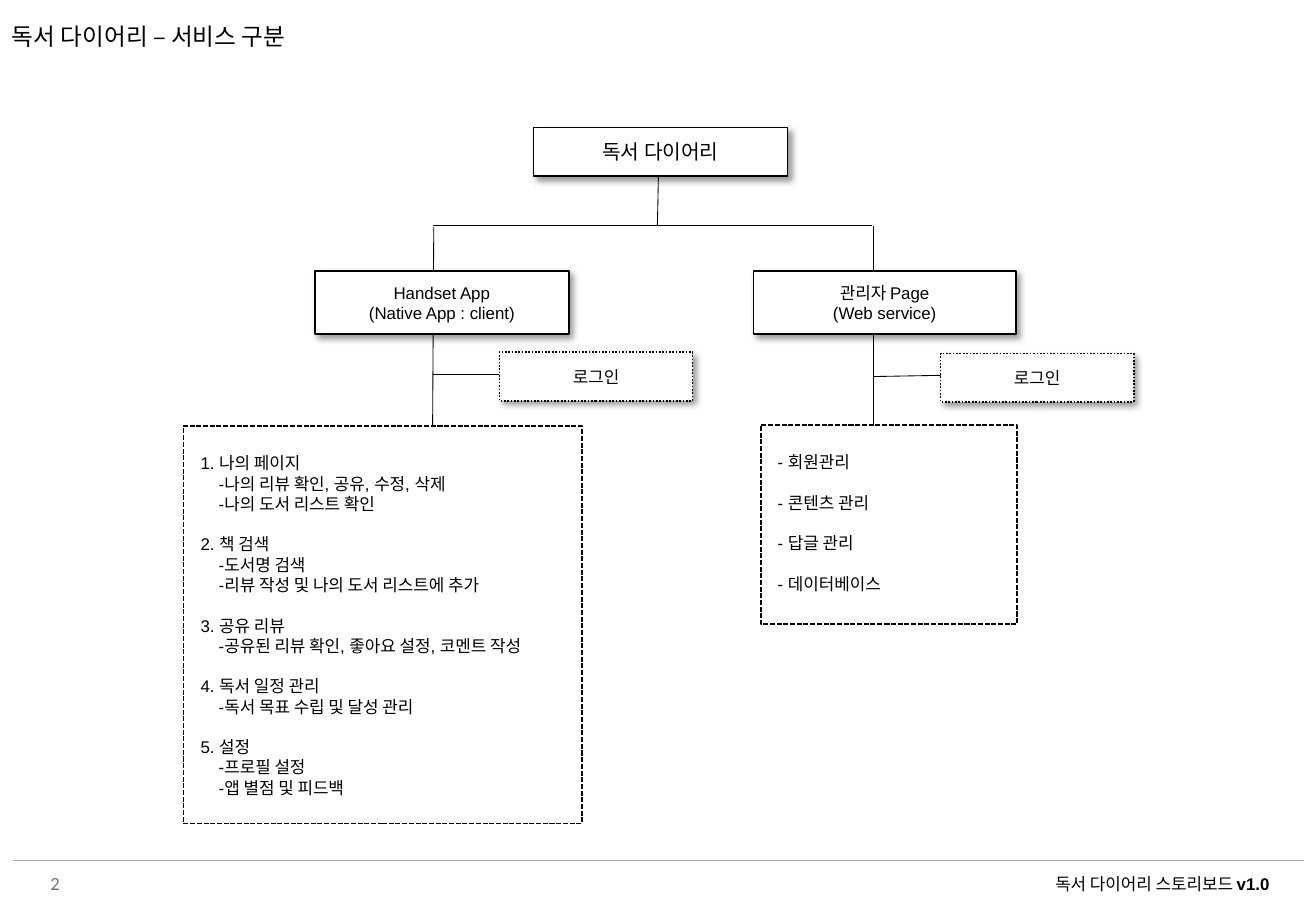
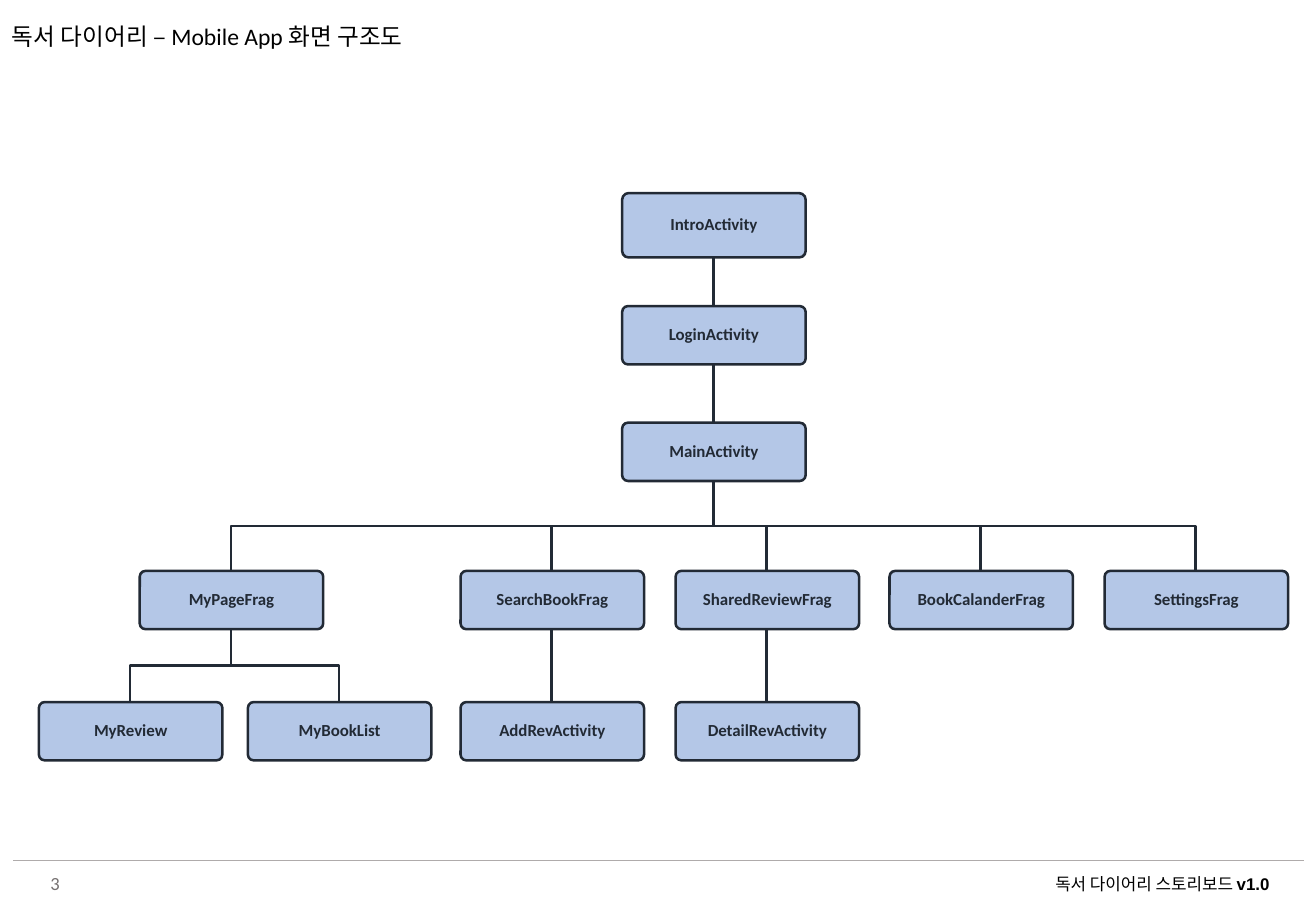
"""Build the service map and the screen tree of a reading diary storyboard."""
from lxml.etree import SubElement
from pptx import Presentation
from pptx.dml.color import RGBColor
from pptx.enum.dml import MSO_LINE
from pptx.enum.shapes import MSO_CONNECTOR, MSO_SHAPE
from pptx.enum.text import MSO_ANCHOR, PP_ALIGN
from pptx.oxml.ns import qn
from pptx.util import Pt

PX = 9144
BLACK, WHITE, GRAY, RULE = "000000", "FFFFFF", "767171", "AFABAB"
NAVY, SKY = "222A35", "B4C7E7"
LEFT, CENTER, RIGHT = PP_ALIGN.LEFT, PP_ALIGN.CENTER, PP_ALIGN.RIGHT
TOP, MIDDLE = MSO_ANCHOR.TOP, MSO_ANCHOR.MIDDLE


def paint(sp, line, width, fill=None, dash=None, shadow=False):
    if fill:
        sp.fill.solid()
        sp.fill.fore_color.rgb = RGBColor.from_string(fill)
    elif hasattr(sp, "fill"):
        sp.fill.background()
    sp.line.color.rgb = RGBColor.from_string(line)
    sp.line.width = Pt(width)
    if dash:
        sp.line.dash_style = dash
    effects = SubElement(sp._element.spPr, qn("a:effectLst"))
    if shadow:
        outer = SubElement(effects, qn("a:outerShdw"), blurRad=str(Pt(4)), dist=str(Pt(3)),
                           dir="2700000", algn="tl", rotWithShape="0")
        clr = SubElement(outer, qn("a:srgbClr"), val=BLACK)
        SubElement(clr, qn("a:alpha"), val="40000")


def write(sp, lines, size, align=CENTER, anchor=MIDDLE, name="Arial", color=BLACK,
          bold=False, spacing=None, inset=(10, 5, 10, 5)):
    tf = sp.text_frame
    sides = ("margin_left", "margin_top", "margin_right", "margin_bottom")
    frame = {"word_wrap": True, "vertical_anchor": anchor}
    frame.update(zip(sides, (v * PX for v in inset)))
    for key, value in frame.items():
        setattr(tf, key, value)
    for i, line in enumerate(lines):
        p = tf.add_paragraph() if i else tf.paragraphs[0]
        p.alignment, p.line_spacing = align, spacing
        for j, text in enumerate(line.split("**")):
            r = p.add_run()
            r.text = text
            fmt = {"name": name, "size": Pt(size), "bold": bold or j % 2 == 1}
            for key, value in fmt.items():
                setattr(r.font, key, value)
            r.font.color.rgb = RGBColor.from_string(color)


prs = Presentation()
prs.slide_width, prs.slide_height = 1083 * PX, 750 * PX

titles = ["독서 다이어리 – 서비스 구분", "독서 다이어리 – Mobile App 화면 구조도"]
slides = []
for number, title in enumerate(titles, 2):
    slide = prs.slides.add_slide(prs.slide_layouts[6])
    slides.append(slide)
    rule = slide.shapes.add_connector(MSO_CONNECTOR.STRAIGHT, 11 * PX, 708 * PX, 1073 * PX, 708 * PX)
    paint(rule, RULE, 0.5)
    labels = [
        ((842, 714, 229, 27), "독서 다이어리 스토리보드 **v1.0", {"size": 10, "anchor": TOP}),
        ((14, 712, 45, 30), str(number),
         {"size": 11, "align": RIGHT, "name": "Calibri", "color": GRAY}),
        ((0, 16, 454, 31), title,
         {"size": 14, "align": LEFT, "anchor": TOP, "name": "Calibri", "spacing": 0.9}),
    ]
    for box, text, fmt in labels:
        write(slide.shapes.add_textbox(*(v * PX for v in box)), [text], **fmt)

services, screens = (slide.shapes for slide in slides)

links = [
    (542, 139, 541, 186), (356, 186, 718, 186),
    (719, 186, 719, 355), (357, 187, 356, 356),
    (356, 308, 413, 308), (719, 310, 776, 309),
]
for ends in links:
    paint(services.add_connector(MSO_CONNECTOR.STRAIGHT, *(v * PX for v in ends)), BLACK, 0.5)

boxes = [
    ((439, 105, 209, 40), ["독서 다이어리"], 12, None),
    ((620, 223, 216, 52), ["관리자 Page", "(Web service)"], 10, None),
    ((259, 223, 209, 52), ["Handset App", "(Native App : client)"], 10, None),
    ((411, 290, 159, 40), ["로그인"], 10, MSO_LINE.ROUND_DOT),
    ((774, 291, 159, 40), ["로그인"], 10, MSO_LINE.ROUND_DOT),
]
for box, lines, size, dash in boxes:
    sp = services.add_shape(MSO_SHAPE.RECTANGLE, *(v * PX for v in box))
    paint(sp, BLACK, 1, WHITE, dash, shadow=True)
    write(sp, lines, size)

app_features = [
    ["1. 나의 페이지", "-나의 리뷰 확인, 공유, 수정, 삭제", "-나의 도서 리스트 확인"],
    ["2. 책 검색", "-도서명 검색", "-리뷰 작성 및 나의 도서 리스트에 추가"],
    ["3. 공유 리뷰", "-공유된 리뷰 확인, 좋아요 설정, 코멘트 작성"],
    ["4. 독서 일정 관리", "-독서 목표 수립 및 달성 관리"],
    ["5. 설정", "-프로필 설정", "-앱 별점 및 피드백"],
]
admin_features = [["- 회원관리"], ["- 콘텐츠 관리"], ["- 답글 관리"], ["- 데이터베이스"]]
for box, groups in [((151, 351, 328, 327), app_features), ((626, 350, 211, 164), admin_features)]:
    sp = services.add_shape(MSO_SHAPE.RECTANGLE, *(v * PX for v in box))
    paint(sp, BLACK, 1, WHITE, MSO_LINE.SQUARE_DOT)
    write(sp, [line for group in groups for line in group], 10, LEFT, TOP, inset=(14, 22, 10, 5))
    heads = [group[0] for group in groups]
    for i, p in enumerate(sp.text_frame.paragraphs):
        if p.text not in heads:
            p._p.get_or_add_pPr().set("marL", str(15 * PX))
        elif i:
            p.space_before = Pt(12)

NODE_W, NODE_H = 151, 48
cols = [379 + round(530 * i / 3) for i in range(4)]
nodes = {
    "IntroActivity": (512, 159, 53, None),
    "LoginActivity": (512, 252, NODE_H, "IntroActivity"),
    "MainActivity": (512, 348, NODE_H, "LoginActivity"),
    "MyPageFrag": (115, 470, NODE_H, "MainActivity"),
    "MyReview": (32, 578, NODE_H, "MyPageFrag"),
    "MyBookList": (204, 578, NODE_H, "MyPageFrag"),
    "AddRevActivity": (cols[0], 578, NODE_H, "SearchBookFrag"),
    "DetailRevActivity": (cols[1], 578, NODE_H, "SharedReviewFrag"),
}
for x, name in zip(cols, ["SearchBookFrag", "SharedReviewFrag", "BookCalanderFrag", "SettingsFrag"]):
    nodes[name] = (x, 470, NODE_H, "MainActivity")

for x, y, h, parent in nodes.values():
    if not parent:
        continue
    px, py, ph, _ = nodes[parent]
    x1, y1, x2 = px + NODE_W // 2, py + ph, x + NODE_W // 2
    if x1 == x2:
        sp = screens.add_connector(MSO_CONNECTOR.STRAIGHT, x1 * PX, y1 * PX, x2 * PX, y * PX)
    else:
        mid = (y1 + y) // 2
        fb = screens.build_freeform(x1, y1, scale=PX)
        fb.add_line_segments([(x1, mid), (x2, mid), (x2, y)], close=False)
        sp = fb.convert_to_shape()
    paint(sp, NAVY, 1.5)

for name, (x, y, h, _) in nodes.items():
    sp = screens.add_shape(MSO_SHAPE.ROUNDED_RECTANGLE, x * PX, y * PX, NODE_W * PX, h * PX)
    sp.adjustments[0] = 0.1
    paint(sp, NAVY, 1.5, SKY)
    write(sp, [name], 10, name="Calibri", color=NAVY, bold=True, spacing=0.9, inset=(5, 5, 5, 5))

prs.save("out.pptx")
